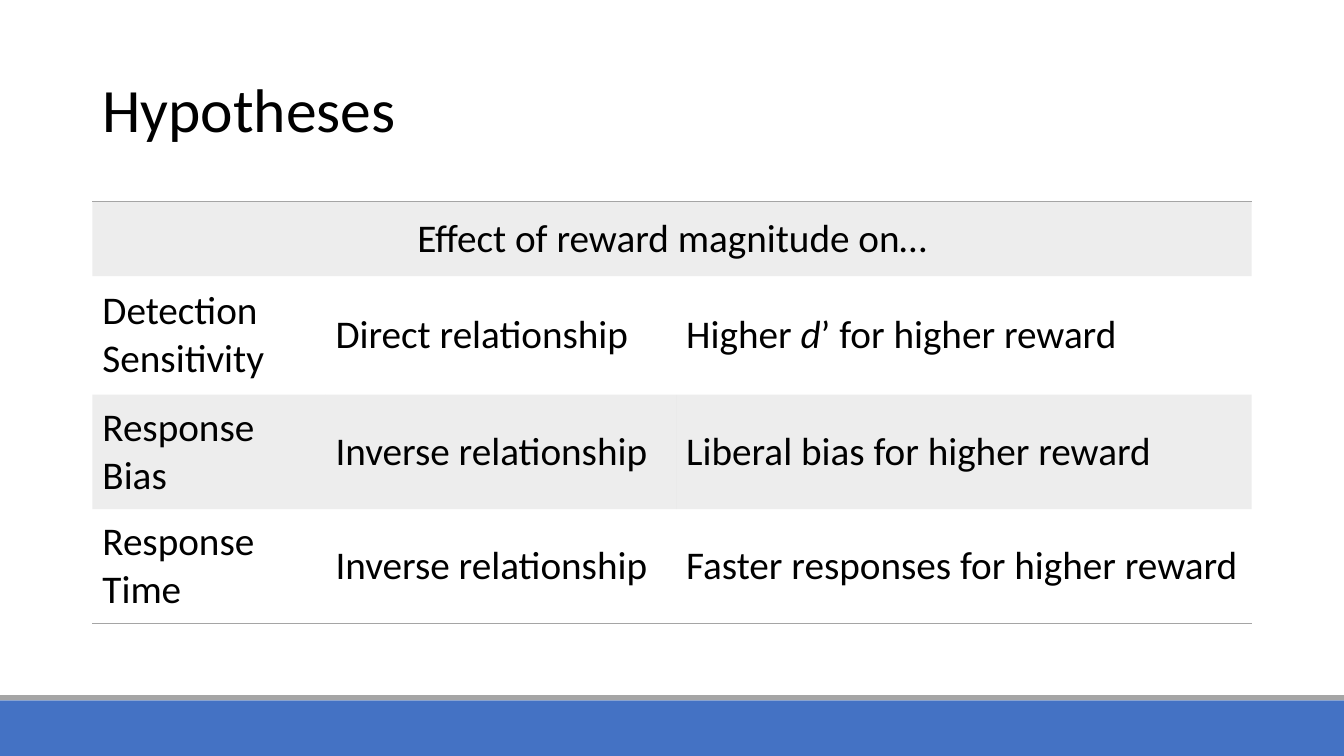
from dataclasses import dataclass

from lxml.etree import SubElement
from pptx import Presentation
from pptx.dml.color import RGBColor
from pptx.enum.shapes import MSO_SHAPE
from pptx.enum.text import MSO_ANCHOR, PP_ALIGN
from pptx.oxml import parse_xml
from pptx.oxml.ns import nsdecls, qn
from pptx.util import Pt

PX = 9525  # EMU in one px, 96 px to the inch


@dataclass(frozen=True)
class Theme:
    font: str = "Calibri"
    ink: str = "000000"
    blue: str = "4472C4"
    gray: str = "A5A5A5"
    tint: int = 20  # opacity of the row bands, percent
    title: int = 44
    body: int = 28
    rule: int = 1
    plain: str = "{2D5ABB26-0587-4C30-8999-92F81FD0307C}"  # no style, no grid


def emu(*sizes):
    return [size * PX for size in sizes]


def write(frame, text, theme, size, align=PP_ALIGN.LEFT, space=1.0):
    """Fill a frame with one paragraph; *stars* mark italics."""
    frame.word_wrap = True
    para = frame.paragraphs[0]
    para.alignment = align
    para.line_spacing = space
    for i, part in enumerate(text.split("*")):
        run = para.add_run()
        run.text = part
        font = run.font
        font.name, font.size = theme.font, Pt(size)
        font.italic = i % 2 == 1
        font.color.rgb = RGBColor.from_string(theme.ink)


class Board:
    def __init__(self, slide, theme):
        self.slide = slide
        self.theme = theme

    def bar(self, left, top, width, height, color):
        shape = self.slide.shapes.add_shape(
            MSO_SHAPE.RECTANGLE, *emu(left, top, width, height))
        shape.shadow.inherit = False
        shape.fill.solid()
        shape.fill.fore_color.rgb = RGBColor.from_string(color)
        shape.line.fill.background()

    def title(self, text, left, top, width, height):
        box = self.slide.shapes.add_textbox(*emu(left, top, width, height))
        box.text_frame.vertical_anchor = MSO_ANCHOR.MIDDLE
        write(box.text_frame, text, self.theme, self.theme.title, space=0.9)

    def shade(self, cell, on):
        if not on:
            cell.fill.background()
            return
        cell.fill.solid()
        cell.fill.fore_color.rgb = RGBColor.from_string(self.theme.gray)
        color = cell.fill._xPr.find(".//" + qn("a:srgbClr"))
        SubElement(color, qn("a:alpha"), val=str(self.theme.tint * 1000))

    def edge(self, cell, side):
        line = parse_xml(
            f'<a:ln{side} {nsdecls("a")} w="{Pt(self.theme.rule)}"><a:solidFill>'
            f'<a:srgbClr val="{self.theme.gray}"/></a:solidFill></a:ln{side}>')
        cell._tc.get_or_add_tcPr().insert(0, line)

    def table(self, head, rows, left, top, wide, tall):
        frame = self.slide.shapes.add_table(
            len(tall), len(wide), *emu(left, top, sum(wide), sum(tall)))
        table = frame.table
        table.first_row = table.horz_banding = False
        table._tbl.tblPr.find(qn("a:tableStyleId")).text = self.theme.plain
        for col, width in zip(table.columns, emu(*wide)):
            col.width = width
        for row, height in zip(table.rows, emu(*tall)):
            row.height = height

        # Bands and outer rules
        last = len(tall) - 1
        for r, row in enumerate(table.rows):
            for cell in row.cells:
                cell.vertical_anchor = MSO_ANCHOR.MIDDLE
                self.shade(cell, r % 2 == 0)
                if r == 0:
                    self.edge(cell, "T")
                if r == last:
                    self.edge(cell, "B")

        # Wording
        size = self.theme.body
        table.cell(0, 0).merge(table.cell(0, len(wide) - 1))
        write(table.cell(0, 0).text_frame, head, self.theme, size,
              align=PP_ALIGN.CENTER)
        for r, row in enumerate(rows, 1):
            for c, text in enumerate(row):
                write(table.cell(r, c).text_frame, text, self.theme, size)


def main():
    deck = Presentation()
    deck.slide_width, deck.slide_height = emu(1280, 720)
    theme = Theme()
    board = Board(deck.slides.add_slide(deck.slide_layouts[6]), theme)

    # Footer bars
    board.bar(0, 667, 1280, 53, theme.blue)
    board.bar(0, 662, 1280, 5, theme.gray)

    # Title
    board.title("Hypotheses", 88, 38, 1104, 139)

    # Hypotheses table
    rows = [
        ("Detection Sensitivity", "Direct relationship",
         "Higher *d*’ for higher reward"),
        ("Response Bias", "Inverse relationship",
         "Liberal bias for higher reward"),
        ("Response Time", "Inverse relationship",
         "Faster responses for higher reward"),
    ]
    board.table("Effect of reward magnitude on…", rows, 88, 192,
                wide=(222, 334, 548), tall=(71, 113, 109, 109))

    deck.save("out.pptx")


if __name__ == "__main__":
    main()
